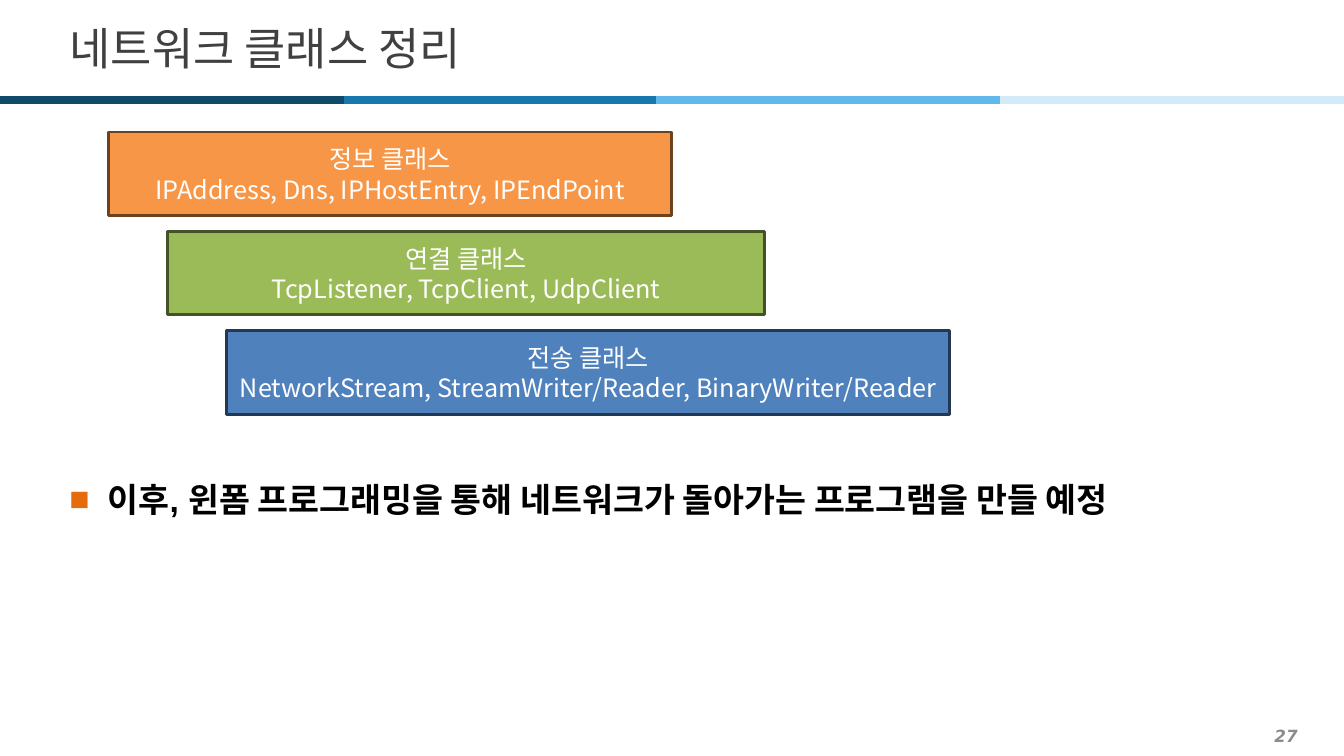
from dataclasses import dataclass

from lxml.etree import SubElement
from pptx import Presentation
from pptx.dml.color import RGBColor
from pptx.enum.shapes import MSO_CONNECTOR, MSO_SHAPE
from pptx.enum.text import MSO_ANCHOR, PP_ALIGN
from pptx.oxml.ns import qn
from pptx.util import Inches, Pt

# Content
TITLE = "네트워크 클래스 정리"
CLASS_GROUPS = [  # heading, classes, width, fill, border
    ("정보 클래스", "IPAddress, Dns, IPHostEntry, IPEndPoint", 5.58, "F79646", "6C421F"),
    ("연결 클래스", "TcpListener, TcpClient, UdpClient", 5.92, "9BBB59", "445227"),
    ("전송 클래스", "NetworkStream, StreamWriter/Reader, BinaryWriter/Reader",
     7.17, "4F81BD", "233953"),
]
NEXT_STEP = "이후, 윈폼 프로그래밍을 통해 네트워크가 돌아가는 프로그램을 만들 예정"
PAGE_NUMBER = "27"
STRIPES = [  # start, end, colour
    (0, 3.41, "0F4A6B"),
    (3.41, 6.51, "1877AC"),
    (6.51, 9.92, "61B8E9"),
    (9.92, 13.33, "D3EBF9"),
]


@dataclass(frozen=True)
class Theme:
    korean: str = "Noto Sans CJK KR"
    body: str = "Arial"
    number: str = "DejaVu Sans"
    title_color: str = "404040"
    text_color: str = "000000"
    box_text_color: str = "FFFFFF"
    number_color: str = "8C8C8C"
    bullet_color: str = "E46C0A"
    title_size: int = 32
    next_step_size: int = 24
    box_size: int = 18
    number_size: int = 12
    stripe_width: int = 6
    border_width: int = 2


THEME = Theme()

# Layout in inches
STRIPE_Y = 0.99
STAIR_LEFT, STAIR_TOP = 1.08, 1.31
STEP_X, STEP_Y = 0.585, 0.985
BOX_HEIGHT = 0.83


def rgb(color):
    return RGBColor.from_string(color)


def box(left, top, width, height):
    return [Inches(v) for v in (left, top, width, height)]


def style(frame, font, size, color, align=PP_ALIGN.LEFT, anchor=MSO_ANCHOR.MIDDLE,
          bold=False, italic=False):
    frame.word_wrap = True
    frame.vertical_anchor = anchor
    for paragraph in frame.paragraphs:
        paragraph.alignment = align
        for run in paragraph.runs:
            run.font.name = font
            run.font.size = Pt(size)
            run.font.bold = bold
            run.font.italic = italic
            run.font.color.rgb = rgb(color)
            SubElement(run.font._element, qn("a:ea"), typeface=THEME.korean)


def add_bullet(paragraph, char, color):
    properties = paragraph._p.get_or_add_pPr()
    properties.set("marL", str(Inches(0.38)))
    properties.set("indent", str(Inches(-0.38)))
    bullet_color = SubElement(properties, qn("a:buClr"))
    SubElement(bullet_color, qn("a:srgbClr"), val=color)
    SubElement(properties, qn("a:buFont"), typeface=THEME.body)
    SubElement(properties, qn("a:buChar"), char=char)


def add_stripe(slide, start, end, color):
    stripe = slide.shapes.add_connector(
        MSO_CONNECTOR.STRAIGHT, Inches(start), Inches(STRIPE_Y), Inches(end), Inches(STRIPE_Y))
    stripe.line.color.rgb = rgb(color)
    stripe.line.width = Pt(THEME.stripe_width)
    SubElement(stripe._element.spPr, qn("a:effectLst"))


def add_class_group(slide, step, heading, classes, width, fill, border):
    group = slide.shapes.add_shape(
        MSO_SHAPE.RECTANGLE,
        *box(STAIR_LEFT + step * STEP_X, STAIR_TOP + step * STEP_Y, width, BOX_HEIGHT))
    group.shadow.inherit = False
    group.fill.solid()
    group.fill.fore_color.rgb = rgb(fill)
    group.line.color.rgb = rgb(border)
    group.line.width = Pt(THEME.border_width)
    group.text_frame.text = f"{heading}\n{classes}"
    style(group.text_frame, THEME.korean, THEME.box_size, THEME.box_text_color,
          align=PP_ALIGN.CENTER)


def main():
    deck = Presentation()
    deck.slide_width, deck.slide_height = Inches(13.33), Inches(7.5)
    slide = deck.slides.add_slide(deck.slide_layouts[5])

    # Title and stripe below it
    title = slide.shapes.title
    title.left, title.top, title.width, title.height = box(0.59, 0.13, 12.21, 0.68)
    title.text_frame.text = TITLE
    style(title.text_frame, THEME.korean, THEME.title_size, THEME.title_color)
    for stripe in STRIPES:
        add_stripe(slide, *stripe)

    # Staircase of class groups
    for step, group in enumerate(CLASS_GROUPS):
        add_class_group(slide, step, *group)

    # Next step
    next_step = slide.shapes.add_textbox(*box(0.59, 4.62, 12.21, 2.59)).text_frame
    next_step.text = NEXT_STEP
    style(next_step, THEME.body, THEME.next_step_size, THEME.text_color,
          anchor=MSO_ANCHOR.TOP, bold=True)
    statement = next_step.paragraphs[0]
    statement.line_spacing = 1.2
    statement.space_after = Pt(2)
    add_bullet(statement, "■", THEME.bullet_color)

    # Page number
    number = slide.shapes.add_textbox(*box(0.2, 7.14, 12.77, 0.31)).text_frame
    number.text = PAGE_NUMBER
    style(number, THEME.number, THEME.number_size, THEME.number_color,
          align=PP_ALIGN.RIGHT, bold=True, italic=True)

    deck.save("out.pptx")


if __name__ == "__main__":
    main()
